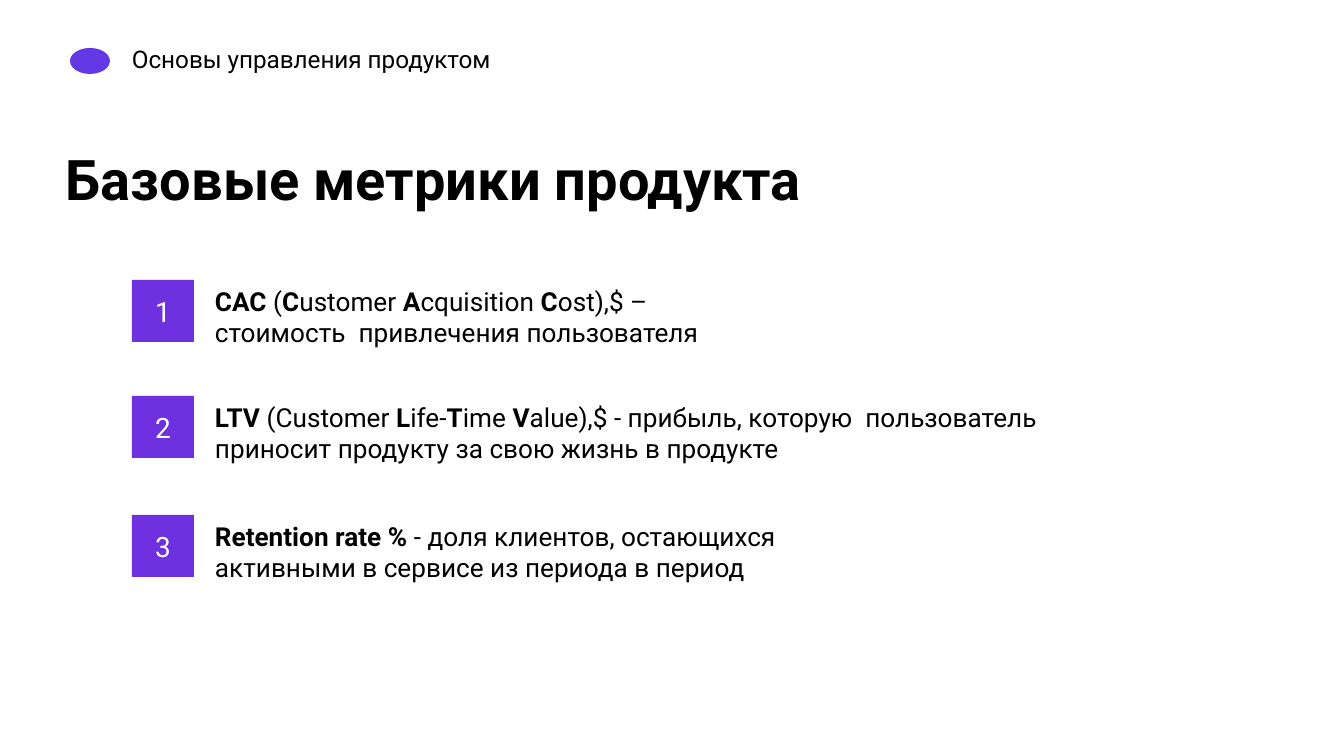
from pptx import Presentation
from pptx import util as u
from pptx.dml import color
from pptx.enum import shapes, text

SCALE = 914400 / 134.4  # EMU in one px
COLORS = {"ink": "000000", "paper": "FFFFFF", "emblem": "6339E6", "badge": "6D31DF"}


def emu(px):
    return u.Emu(round(px * SCALE))


class Page:
    """Holds the style and the current slide."""

    font = "Roboto"

    def __init__(self, deck):
        self.slide = deck.slides.add_slide(deck.slide_layouts[6])

    def color(self, name):
        return color.RGBColor.from_string(COLORS[name])

    def fill_text(self, box, paras, size, ink="ink", insets=(0, 1, 0, 0), **formats):
        """Fill a box; each paragraph is a list of (wording, bold) spans."""
        frame = box.text_frame
        sides = ("margin_left", "margin_top", "margin_right", "margin_bottom")
        frame_formats = dict(zip(sides, map(emu, insets)))
        frame_formats.update(word_wrap=True, vertical_anchor=text.MSO_ANCHOR.TOP)
        for key, value in frame_formats.items():
            setattr(frame, key, value)
        for index, spans in enumerate(paras):
            para = frame.add_paragraph() if index else frame.paragraphs[0]
            for key, value in formats.items():
                setattr(para, key, value)
            for wording, bold in spans:
                span = para.add_run()
                span.text = wording
                for key, value in {"name": self.font, "size": u.Pt(size), "bold": bold}.items():
                    setattr(span.font, key, value)
                span.font.color.rgb = self.color(ink)

    def label(self, left, top, width, height, paras, size, **formats):
        box = self.slide.shapes.add_textbox(*map(emu, (left, top, width, height)))
        self.fill_text(box, paras, size, **formats)

    def shape(self, kind, left, top, width, height, fill):
        box = self.slide.shapes.add_shape(kind, *map(emu, (left, top, width, height)))
        box.shadow.inherit = False
        box.fill.solid()
        box.fill.fore_color.rgb = self.color(fill)
        box.line.fill.background()
        return box

    def badge(self, left, top, side, number):
        box = self.shape(shapes.MSO_SHAPE.RECTANGLE, left, top, side, side, "badge")
        self.fill_text(box, [[(str(number), False)]], 15, ink="paper",
                       insets=(0, 15, 0, 0), alignment=text.PP_ALIGN.CENTER)


# Metrics: top, text width, paragraphs
METRICS = [
    (280, 544, [[
        ("CAC ", True), ("(", False), ("C", True), ("ustomer ", False),
        ("A", True), ("cquisition ", False), ("C", True),
        ("ost),$ – стоимость  привлечения пользователя", False),
    ]]),
    (396, 840, [[
        ("LTV ", True), ("(Customer ", False), ("L", True), ("ife-", False),
        ("T", True), ("ime ", False), ("V", True),
        ("alue),$ - прибыль, которую  пользователь "
         "приносит продукту за свою жизнь в продукте", False),
    ]]),
    (515, 659, [
        [("Retention rate % ", True), ("- доля клиентов, остающихся", False)],
        [("активными в сервисе из периода в период", False)],
    ]),
]


def main():
    deck = Presentation()
    deck.slide_width, deck.slide_height = emu(1344), emu(756)
    page = Page(deck)

    # Header
    page.shape(shapes.MSO_SHAPE.OVAL, 70, 48, 40, 26, "emblem")
    page.label(127, 39, 794, 34, [[("Основы управления продуктом", False)]], 13,
               insets=(5, 5, 5, 5), line_spacing=1.01)

    # Title
    page.label(66, 144, 1066, 66, [[("Базовые метрики продукта", True)]], 30)

    # Numbered metrics
    for number, (top, width, paras) in enumerate(METRICS, 1):
        page.badge(132, top, 62, number)
        page.label(215, top + 4, width, 63, paras, 14)

    deck.save("out.pptx")


if __name__ == "__main__":
    main()
